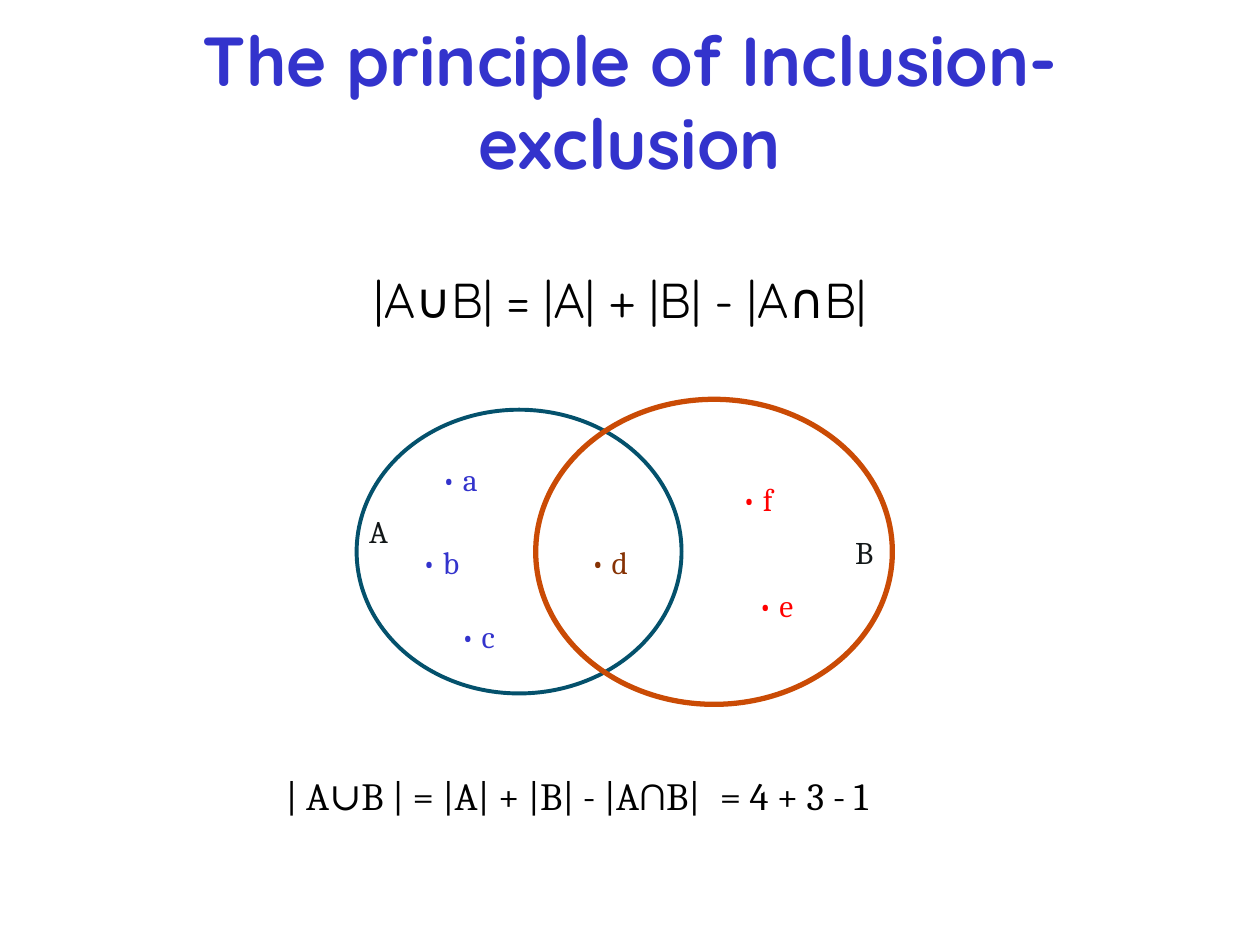
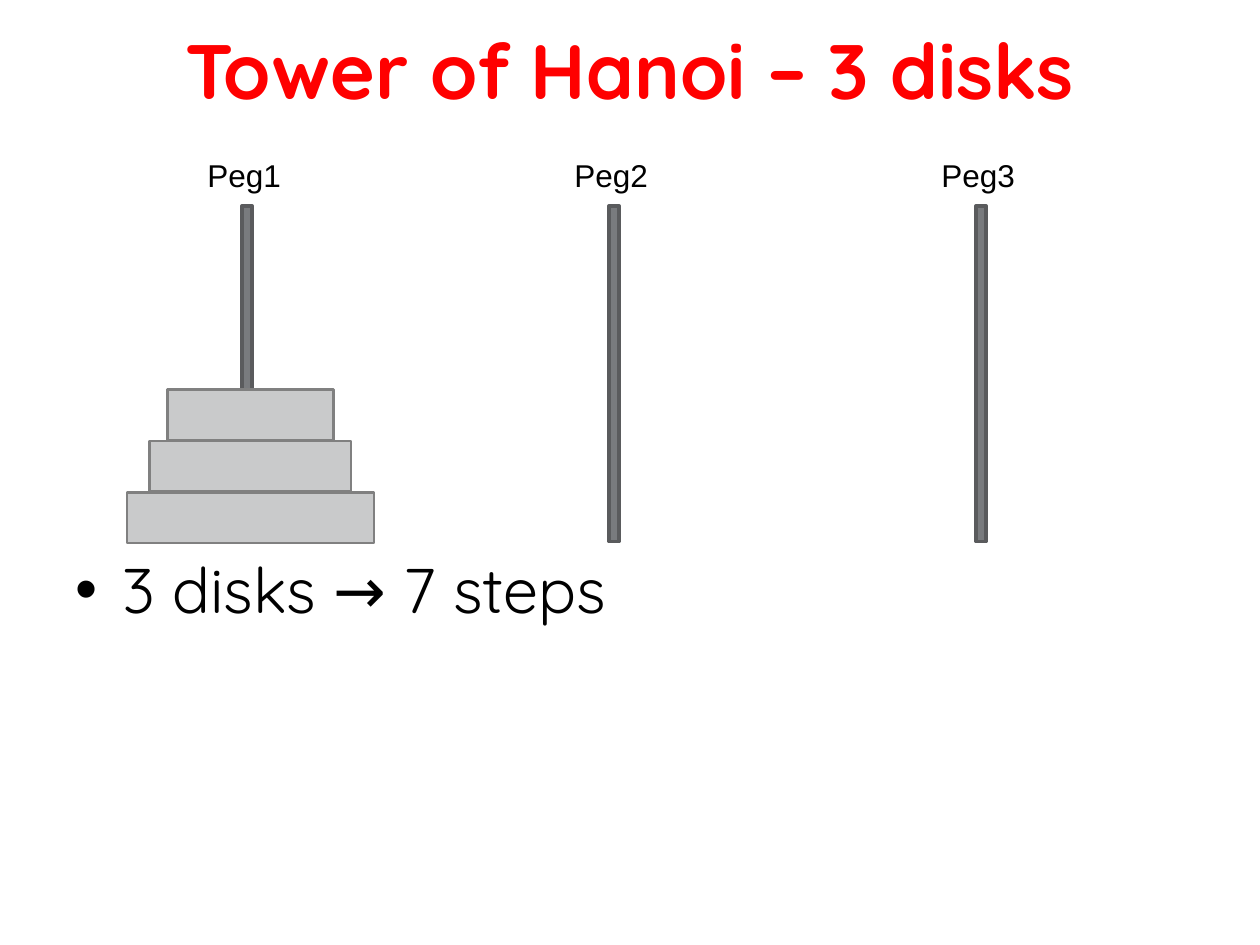
from dataclasses import dataclass
from typing import NamedTuple

from lxml import etree
from pptx import Presentation
from pptx import util as u
from pptx.dml.color import RGBColor
from pptx.enum import shapes, text
from pptx.oxml import ns


@dataclass(frozen=True)
class Theme:
    heading_font: str = "Quicksand"
    diagram_font: str = "Cambria"
    peg_font: str = "Arial"
    black: str = "000000"
    blue: str = "3333CC"
    red: str = "FF0000"
    brown: str = "863204"
    ink: str = "121718"
    teal: str = "04516C"
    orange: str = "CA4B05"
    peg_fill: str = "797B7E"
    peg_line: str = "5A5B5D"
    disk_fill: str = "C9CACB"
    disk_line: str = "808080"
    long_title_size: float = 39.6
    title_size: float = 44
    formula_size: float = 28
    steps_size: float = 36
    result_size: float = 22
    label_size: float = 18


class Box(NamedTuple):
    left: float
    top: float
    width: float
    height: float

    def lengths(self) -> list[u.Cm]:
        return [u.Cm(side) for side in self]


class Style(NamedTuple):
    font: str
    size: float
    color: str
    bold: bool = False


class SetCircle(NamedTuple):
    box: Box
    color: str
    weight: float


class Label(NamedTuple):
    words: str
    left: float
    top: float
    color: str


THEME = Theme()
MARGIN, CONTENT_WIDTH = 1.27, 22.86


def add_words(slide, words: str, box: Box, style: Style,
              centred: bool = False, wraps: bool = True):
    frame = slide.shapes.add_textbox(*box.lengths()).text_frame
    frame.word_wrap = wraps
    frame.auto_size = (text.MSO_AUTO_SIZE.NONE if wraps
                       else text.MSO_AUTO_SIZE.SHAPE_TO_FIT_TEXT)
    paragraph = frame.paragraphs[0]
    paragraph.text = words
    paragraph.alignment = text.PP_ALIGN.CENTER if centred else text.PP_ALIGN.LEFT
    paragraph.font.name = style.font
    paragraph.font.size = u.Pt(style.size)
    paragraph.font.bold = style.bold
    paragraph.font.color.rgb = RGBColor.from_string(style.color)
    return frame


def add_title(slide, words: str, top: float, size: float, color: str) -> None:
    frame = add_words(slide, words, Box(MARGIN, top, CONTENT_WIDTH, 3.18),
                      Style(THEME.heading_font, size, color, True), centred=True)
    frame.vertical_anchor = text.MSO_ANCHOR.MIDDLE


def add_outline(slide, kind: shapes.MSO_SHAPE, box: Box, line: str,
                weight: float, fill: str | None = None) -> None:
    outline = slide.shapes.add_shape(kind, *box.lengths())
    outline.shadow.inherit = False
    outline.line.color.rgb = RGBColor.from_string(line)
    outline.line.width = u.Pt(weight)
    if fill:
        outline.fill.solid()
        outline.fill.fore_color.rgb = RGBColor.from_string(fill)
    else:
        outline.fill.background()


def add_bullet(paragraph, indent: float) -> None:
    properties = paragraph._p.get_or_add_pPr()
    properties.set("marL", str(u.Cm(indent)))
    properties.set("indent", str(-u.Cm(indent)))
    etree.SubElement(properties, ns.qn("a:buFont")).set("typeface", THEME.peg_font)
    etree.SubElement(properties, ns.qn("a:buChar")).set("char", "•")


def build_inclusion_exclusion(slide) -> None:
    add_title(slide, "The principle of Inclusion-exclusion", 0.43,
              THEME.long_title_size, THEME.blue)
    add_words(slide, "|A∪B| = |A| + |B| - |A∩B|",
              Box(1.07, 5.31, CONTENT_WIDTH, 1.5),
              Style(THEME.heading_font, THEME.formula_size, THEME.black),
              centred=True)

    circles = (
        SetCircle(Box(7.19, 8.26, 6.55, 5.72), THEME.teal, 2.25),
        SetCircle(Box(10.8, 8.05, 7.19, 6.15), THEME.orange, 3),
    )
    for circle in circles:
        add_outline(slide, shapes.MSO_SHAPE.OVAL, circle.box, circle.color,
                    circle.weight)

    labels = (
        Label("• a", 8.66, 9.14, THEME.blue),
        Label("• b", 8.26, 10.82, THEME.blue),
        Label("• c", 9.04, 12.32, THEME.blue),
        Label("• d", 11.66, 10.82, THEME.brown),
        Label("• e", 15.04, 11.68, THEME.red),
        Label("• f", 14.71, 9.55, THEME.red),
        Label("A", 7.19, 10.19, THEME.ink),
        Label("B", 16.99, 10.62, THEME.ink),
    )
    for label in labels:
        width = 1.3 if label.words.startswith("•") else 0.95
        add_words(slide, label.words, Box(label.left, label.top, width, 1.02),
                  Style(THEME.diagram_font, THEME.label_size, label.color),
                  wraps=False)

    add_words(slide, "| A∪B | = |A| + |B| - |A∩B|\u2002= 4 + 3 - 1",
              Box(5.51, 15.44, 14.3, 1.19),
              Style(THEME.diagram_font, THEME.result_size, THEME.black),
              wraps=False)


def build_hanoi(slide) -> None:
    add_title(slide, "Tower of Hanoi – 3 disks", -0.2, THEME.title_size, THEME.red)
    steps = add_words(slide, "3 disks → 7 steps",
                      Box(MARGIN, 10.98, CONTENT_WIDTH, 1.9),
                      Style(THEME.heading_font, THEME.steps_size, THEME.black))
    add_bullet(steps.paragraphs[0], 0.95)

    first_peg, peg_pitch = 4.88, 7.4
    for index in range(3):
        left = first_peg + index * peg_pitch
        add_outline(slide, shapes.MSO_SHAPE.RECTANGLE, Box(left, 4.15, 0.2, 6.77),
                    THEME.peg_line, 2, THEME.peg_fill)
        add_words(slide, f"Peg{index + 1}", Box(left - 0.95, 3.02, 2, 0.91),
                  Style(THEME.peg_font, THEME.label_size, THEME.black),
                  wraps=False)

    stack_centre, lowest_top, disk_pitch = 5.05, 9.93, 1.04
    for level, width in enumerate((4.98, 4.06, 3.35)):
        disk = Box(stack_centre - width / 2, lowest_top - level * disk_pitch,
                   width, 1.02)
        add_outline(slide, shapes.MSO_SHAPE.RECTANGLE, disk, THEME.disk_line, 1.5,
                    THEME.disk_fill)


deck = Presentation()
deck.slide_width, deck.slide_height = u.Cm(25.4), u.Cm(19.05)
blank = deck.slide_layouts[6]
for build in (build_inclusion_exclusion, build_hanoi):
    build(deck.slides.add_slide(blank))
deck.save("out.pptx")
